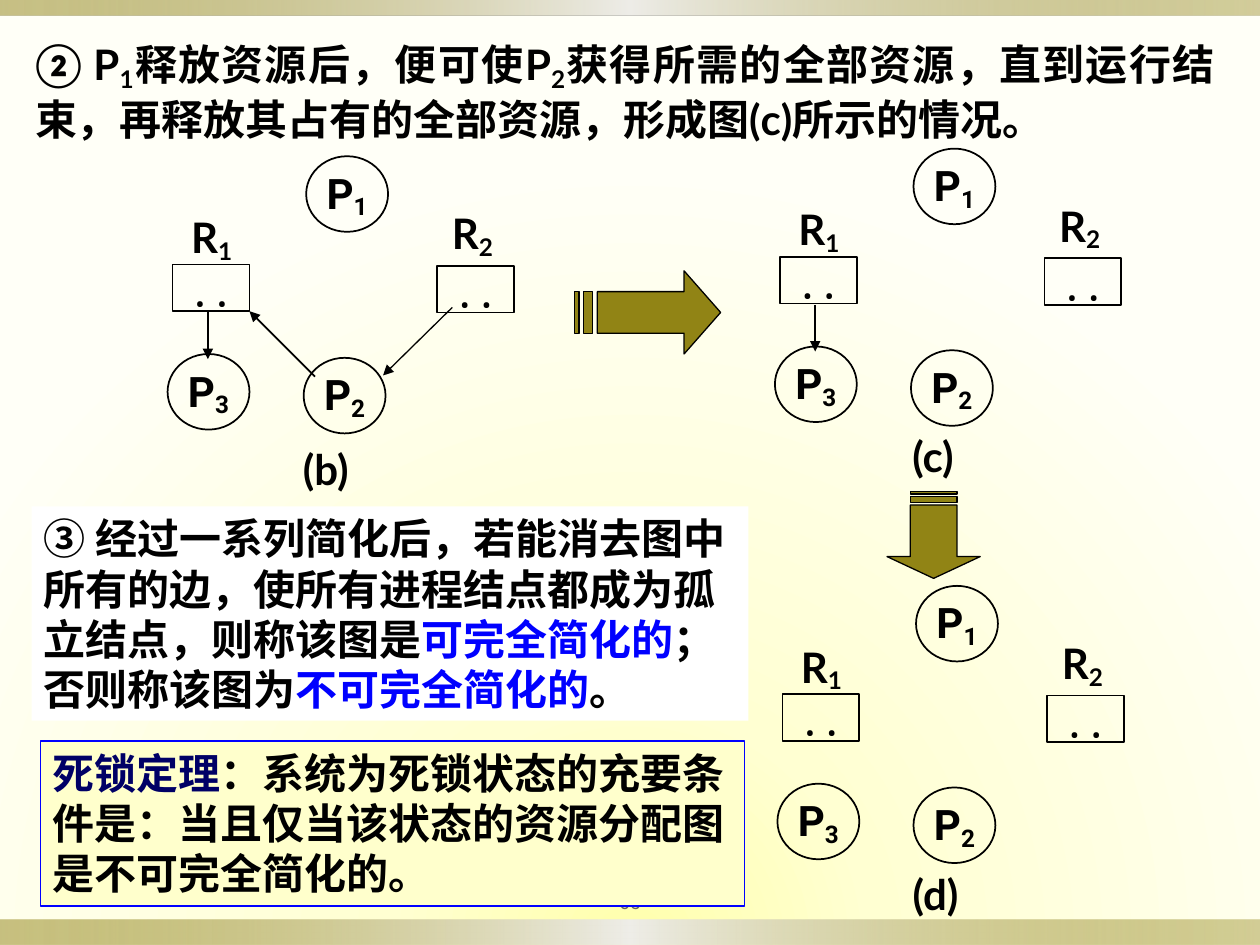
from lxml.etree import SubElement
from pptx import Presentation
from pptx.dml.color import RGBColor
from pptx.enum.shapes import MSO_CONNECTOR, MSO_SHAPE
from pptx.enum.text import MSO_ANCHOR, PP_ALIGN
from pptx.oxml import parse_xml
from pptx.oxml.ns import nsdecls, qn
from pptx.util import Inches, Pt

HUES = {
    "ink": "000000", "olive": "918415", "silver": "EEEDE8", "blue": "0000FF",
    "navy": "000066", "grey": "636363", "white": "FFFFFF", "cream": "FFFFCC",
    "core": "FFFFAC", "mid": "FFFFD2", "edge": "FFFFF7",
}
WIDE, HIGH = 10, 7.5
NODE = (0.65, 0.6)
CRATE = (0.61, 0.37)
TAG = (0.88, 0.5)
SNUG = (0.06, 0.01, 0.06, 0.01)


def rgb(name):
    return RGBColor.from_string(HUES[name])


def grad(stops, way):
    """Gradient fill from (place, hue, opacity) stops, in percent."""
    marks = "".join(
        f'<a:gs pos="{place * 1000}"><a:srgbClr val="{HUES[hue]}">'
        f'<a:alpha val="{alpha * 1000}"/></a:srgbClr></a:gs>'
        for place, hue, alpha in stops)
    return parse_xml(f'<a:gradFill {nsdecls("a")} rotWithShape="1">'
                     f'<a:gsLst>{marks}</a:gsLst>{way}</a:gradFill>')


def paint(shape, fill=None, line=None, width=1):
    shape.shadow.inherit = False
    if fill:
        shape.fill.solid()
        shape.fill.fore_color.rgb = rgb(fill)
    else:
        shape.fill.background()
    if line:
        shape.line.color.rgb = rgb(line)
        shape.line.width = Pt(width)
    else:
        shape.line.fill.background()


def form(slide, kind, box, **look):
    shape = slide.shapes.add_shape(kind, *map(Inches, box))
    paint(shape, **look)
    return shape


def write(shape, *runs, size=24, face="Lato", bold=True, align=PP_ALIGN.LEFT,
          anchor=MSO_ANCHOR.TOP, pad=(0.1, 0.05, 0.1, 0.05), wrap=True):
    """Fill a shape with runs: (text, hue, baseline shift, spacing), all but text optional."""
    frame = shape.text_frame
    frame.word_wrap = wrap
    frame.vertical_anchor = anchor
    (frame.margin_left, frame.margin_top,
     frame.margin_right, frame.margin_bottom) = map(Inches, pad)
    para = frame.paragraphs[0]
    para.alignment = align
    for words, *rest in runs:
        hue, shift, gap = (*rest, *("ink", 0, 0)[len(rest):])
        run = para.add_run()
        run.text = words
        font = run.font
        font.size, font.name, font.bold = Pt(size), face, bold
        font.color.rgb = rgb(hue)
        props = run._r.get_or_add_rPr()
        if shift:
            props.set("baseline", str(shift * 1000))
        if gap:
            props.set("spc", str(gap))


def label(slide, box, *runs, **style):
    write(slide.shapes.add_textbox(*map(Inches, box)), *runs, **style)


def arrow(slide, start, end, width=1):
    line = slide.shapes.add_connector(
        MSO_CONNECTOR.STRAIGHT, *map(Inches, (*start, *end)))
    line.line.color.rgb = rgb("ink")
    line.line.width = Pt(width)
    props = line._element.spPr
    SubElement(props.find(qn("a:ln")), qn("a:tailEnd"), type="triangle")
    SubElement(props, qn("a:effectLst"))


def block(slide, box, down=False):
    """Striped block arrow that fills the box, pointing right or down."""
    left, top, width, height = box

    def spot(along, across):
        x, y = (1 - across, along) if down else (along, across)
        return Inches(left + x * width), Inches(top + y * height)

    def bar(start, end):
        return [(start, 0.25), (start, 0.75), (end, 0.75), (end, 0.25)]

    head = [(0.75, 0), (0.75, 0.25), (5 / 32, 0.25), (5 / 32, 0.75),
            (0.75, 0.75), (0.75, 1), (1, 0.5)]
    parts = [[spot(*dot) for dot in part]
             for part in (head, bar(1 / 16, 1 / 8), bar(0, 1 / 32))]
    pen = slide.shapes.build_freeform(*parts[0][0])
    for part in parts:
        if part is not parts[0]:
            pen.move_to(*part[0])
        pen.add_line_segments(part[1:], close=True)
    paint(pen.convert_to_shape(), "olive", "ink", 0.75)


def graph(slide, left, top, name, drop, holds=False, waits=False):
    """Allocation graph; holds draws R1 to P3, waits draws the edges of P2."""
    def at(x, y):
        return left + x, top + y

    for num, x, y in ((1, 1.19, 0), (2, 1.17, 1.6), (3, 0.09, 1.57)):
        node = form(slide, MSO_SHAPE.OVAL, (*at(x, y), *NODE), line="ink")
        write(node, ("P",), (str(num), "ink", -16), face="Roboto", pad=SNUG,
              align=PP_ALIGN.CENTER, anchor=MSO_ANCHOR.MIDDLE, wrap=False)
    for num, x, y, tagx, tagy in ((1, 0.13, 0.86, 0, 0.39),
                                  (2, 2.23, 0.87, 2.07, 0.36)):
        crate = form(slide, MSO_SHAPE.RECTANGLE, (*at(x, y), *CRATE), line="ink")
        write(crate, ("• •", "ink", -16, 200), face="Roboto",
              pad=(0.06, 0, 0.06, 0.01), align=PP_ALIGN.CENTER, wrap=False)
        label(slide, (*at(tagx, tagy), *TAG), ("R",), (str(num), "ink", -16),
              align=PP_ALIGN.CENTER)
    if holds:
        arrow(slide, at(0.41, 1.24), at(0.41, 1.61))
    if waits:
        arrow(slide, at(1.26, 1.75), at(0.74, 1.23))
        arrow(slide, at(2.35, 1.2), at(1.8, 1.74), 0.75)
    label(slide, (*at(0.82, drop), 1.05, 0.5), (name,), align=PP_ALIGN.CENTER)


def frame(slide):
    """Glowing background, edge bands and slide number."""
    slide.background.fill.solid()
    back = slide.background._cSld.bg.bgPr
    glow = grad([(0, "core", 100), (31, "mid", 100), (100, "edge", 100)],
                '<a:path path="circle"><a:fillToRect l="50000" t="150000" '
                'r="50000"/></a:path>')
    back.replace(back.find(qn("a:solidFill")), glow)
    for top, height in ((7.3, 0.2), (0, 0.12)):
        band = form(slide, MSO_SHAPE.RECTANGLE, (0, top, WIDE, height), fill="olive")
        props = band._element.spPr
        sheen = grad([(0, "olive", 50), (50, "silver", 100), (100, "olive", 40)],
                     '<a:lin ang="0" scaled="1"/>')
        props.replace(props.find(qn("a:solidFill")), sheen)
    label(slide, (4.5, 7, 1, 0.31), ("65", "grey"), size=11, face="Roboto",
          bold=False, align=PP_ALIGN.CENTER, anchor=MSO_ANCHOR.MIDDLE,
          pad=(0.05,) * 4)


def notes(slide):
    """The lead sentence and the two boxes of conclusions."""
    label(slide, (0.18, 0.26, 9.56, 0.9),
          ("② P",), ("1", "ink", -18), ("释放资源后，便可使P",), ("2", "ink", -18),
          ("获得所需的全部资源，直到运行结束，再释放其占有的全部资源，形成图(c)所示的情况。",),
          align=PP_ALIGN.JUSTIFY)
    rule = form(slide, MSO_SHAPE.RECTANGLE, (0.25, 4.02, 5.69, 1.7), fill="white")
    write(rule,
          ("③ 经过一系列简化后，若能消去图中所有的边，使所有进程结点都成为孤立结点，则称该图是",),
          ("可完全简化的", "blue"), ("；否则称该图为",),
          ("不可完全简化的", "blue"), ("。",))
    law = form(slide, MSO_SHAPE.RECTANGLE, (0.32, 5.88, 5.59, 1.31),
               fill="cream", line="blue", width=0.75)
    write(law, ("死锁定理", "navy"),
          ("：系统为死锁状态的充要条件是：当且仅当该状态的资源分配图是不可完全简化的。",))


def main():
    deck = Presentation()
    deck.slide_width, deck.slide_height = Inches(WIDE), Inches(HIGH)
    slide = deck.slides.add_slide(deck.slide_layouts[6])
    frame(slide)
    notes(slide)
    block(slide, (4.56, 2.15, 1.16, 0.66))
    block(slide, (7.04, 3.9, 0.74, 0.69), down=True)
    graph(slide, 1.24, 1.24, "(b)", 2.23, holds=True, waits=True)
    graph(slide, 6.06, 1.18, "(c)", 2.19, holds=True)
    graph(slide, 6.08, 4.65, "(d)", 2.19)
    deck.save("out.pptx")


if __name__ == "__main__":
    main()
